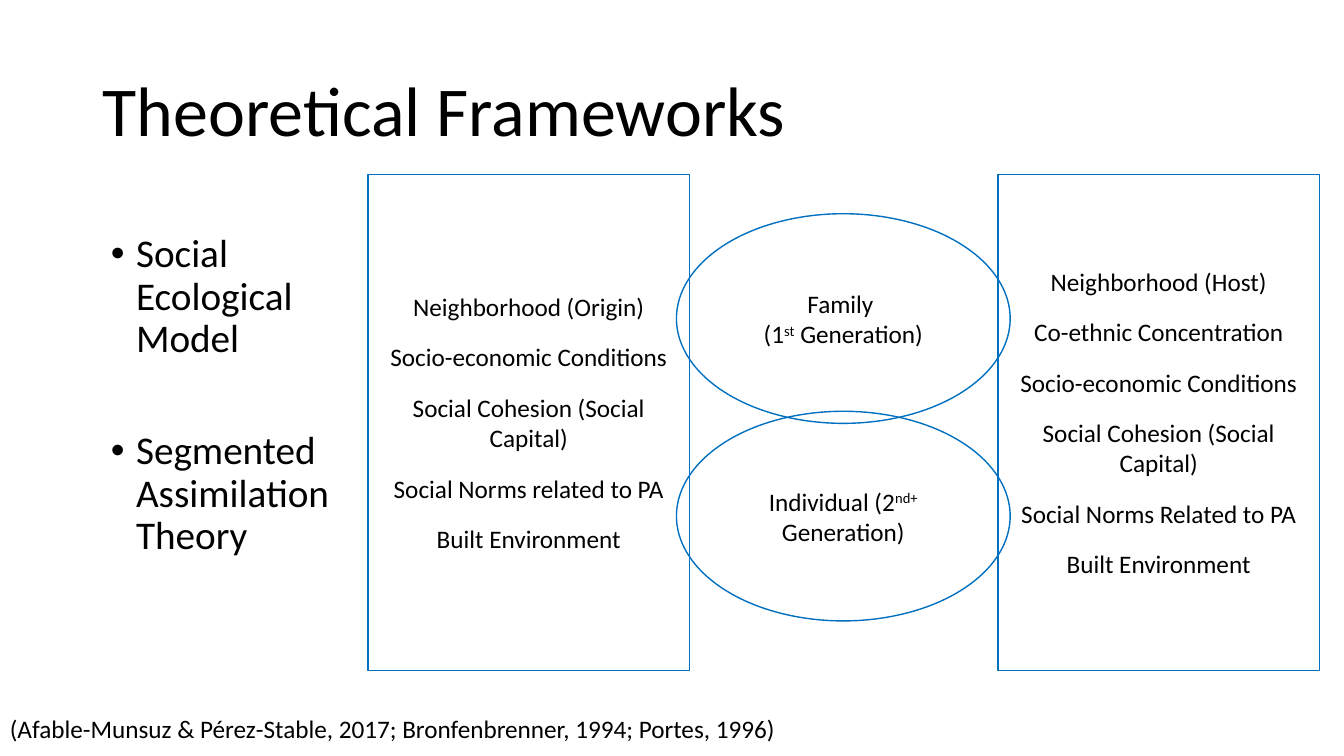
from pptx import Presentation
from pptx.dml.color import RGBColor
from pptx.enum.shapes import MSO_SHAPE
from pptx.enum.text import MSO_ANCHOR, MSO_AUTO_SIZE, PP_ALIGN
from pptx.util import Inches, Pt

BLACK = RGBColor(0x00, 0x00, 0x00)
BLUE = RGBColor(0x00, 0x70, 0xC0)
RECTANGLE, OVAL = MSO_SHAPE.RECTANGLE, MSO_SHAPE.OVAL
LEFT, CENTER = PP_ALIGN.LEFT, PP_ALIGN.CENTER
TOP, MIDDLE = MSO_ANCHOR.TOP, MSO_ANCHOR.MIDDLE
NO_AUTOFIT = MSO_AUTO_SIZE.NONE
TITLE_AND_CONTENT = 1

SETTING_TOP, SETTING_WIDTH, SETTING_HEIGHT = 23.07, 23.93, 65.6
PERSON_LEFT, PERSON_WIDTH, PERSON_HEIGHT = 50.33, 24.83, 27.73


class FrameworkSlide:
    """Style and slide; every box is left, top, width, height in percent."""

    font_name = "Calibri"
    text_size = 18

    def __init__(self, deck):
        self.deck = deck
        layout = deck.slide_layouts[TITLE_AND_CONTENT]
        self.slide = deck.slides.add_slide(layout)

    def place(self, box):
        sides = (self.deck.slide_width, self.deck.slide_height) * 2
        return [round(share * side / 100) for share, side in zip(box, sides)]

    def move(self, placeholder, box):
        (placeholder.left, placeholder.top,
         placeholder.width, placeholder.height) = self.place(box)

    def set_text(self, frame, paragraphs, size, align, anchor, gap=0, spacing=None):
        """Fill the frame; a paragraph is a string or (text, is_superscript) pairs."""
        frame.word_wrap = True
        frame.auto_size = NO_AUTOFIT
        frame.vertical_anchor = anchor
        for index, content in enumerate(paragraphs):
            paragraph = frame.add_paragraph() if index else frame.paragraphs[0]
            pieces = [(content, False)] if isinstance(content, str) else content
            for text, is_superscript in pieces:
                run = paragraph.add_run()
                run.text = text
                if is_superscript:
                    run.font._element.set("baseline", "30000")
            paragraph.alignment = align
            paragraph.space_before = Pt(gap if index else 0)
            paragraph.line_spacing = spacing
            paragraph.font.name = self.font_name
            paragraph.font.size = Pt(size)
            paragraph.font.color.rgb = BLACK

    def title(self, text, box):
        heading = self.slide.shapes.title
        self.move(heading, box)
        self.set_text(heading.text_frame, [text], 50, LEFT, MIDDLE, spacing=0.9)

    def bullets(self, theories, box):
        body = self.slide.placeholders[1]
        self.move(body, box)
        self.set_text(body.text_frame, theories, 28, LEFT, TOP, gap=50, spacing=0.9)
        for paragraph in body.text_frame.paragraphs:
            properties = paragraph._p.get_or_add_pPr()
            properties.set("marL", str(Inches(0.25)))
            properties.set("indent", str(-Inches(0.25)))

    def citation(self, text, box):
        note = self.slide.shapes.add_textbox(*self.place(box))
        self.set_text(note.text_frame, [text], self.text_size, LEFT, TOP)

    def outline(self, kind, paragraphs, box, gap=0):
        shape = self.slide.shapes.add_shape(kind, *self.place(box))
        shape.shadow.inherit = False
        shape.fill.background()
        shape.line.color.rgb = BLUE
        shape.line.width = Pt(1)
        self.set_text(shape.text_frame, paragraphs, self.text_size, CENTER, MIDDLE, gap)

    def neighborhood(self, factors, left):
        box = (left, SETTING_TOP, SETTING_WIDTH, SETTING_HEIGHT)
        self.outline(RECTANGLE, factors, box, gap=14.4)

    def generation(self, label, top):
        self.outline(OVAL, label, (PERSON_LEFT, top, PERSON_WIDTH, PERSON_HEIGHT))


def main():
    deck = Presentation()
    deck.slide_width, deck.slide_height = Inches(13.33), Inches(7.5)
    frameworks = FrameworkSlide(deck)

    frameworks.title("Theoretical Frameworks", (6.9, 5.33, 86.25, 19.33))
    frameworks.bullets(
        ["Social Ecological Model", "Segmented Assimilation Theory"],
        (7.5, 30.27, 19.88, 63.33),
    )
    frameworks.citation(
        "(Afable-Munsuz & Pérez-Stable, 2017; Bronfenbrenner, 1994; Portes, 1996)",
        (0, 93.73, 100, 5.33),
    )
    frameworks.generation(
        [[("Individual (2", False), ("nd+ ", True), ("Generation)", False)]], 54.4
    )
    frameworks.neighborhood(
        ["Neighborhood (Host)", "Co-ethnic Concentration",
         "Socio-economic Conditions", "Social Cohesion (Social Capital)",
         "Social Norms Related to PA", "Built Environment"],
        74.25,
    )
    frameworks.neighborhood(
        ["Neighborhood (Origin)", "Socio-economic Conditions",
         "Social Cohesion (Social Capital)", "Social Norms related to PA",
         "Built Environment"],
        27.38,
    )
    frameworks.generation(
        ["Family ", [("(1", False), ("st", True), (" Generation)", False)]], 28.27
    )
    deck.save("out.pptx")


if __name__ == "__main__":
    main()
